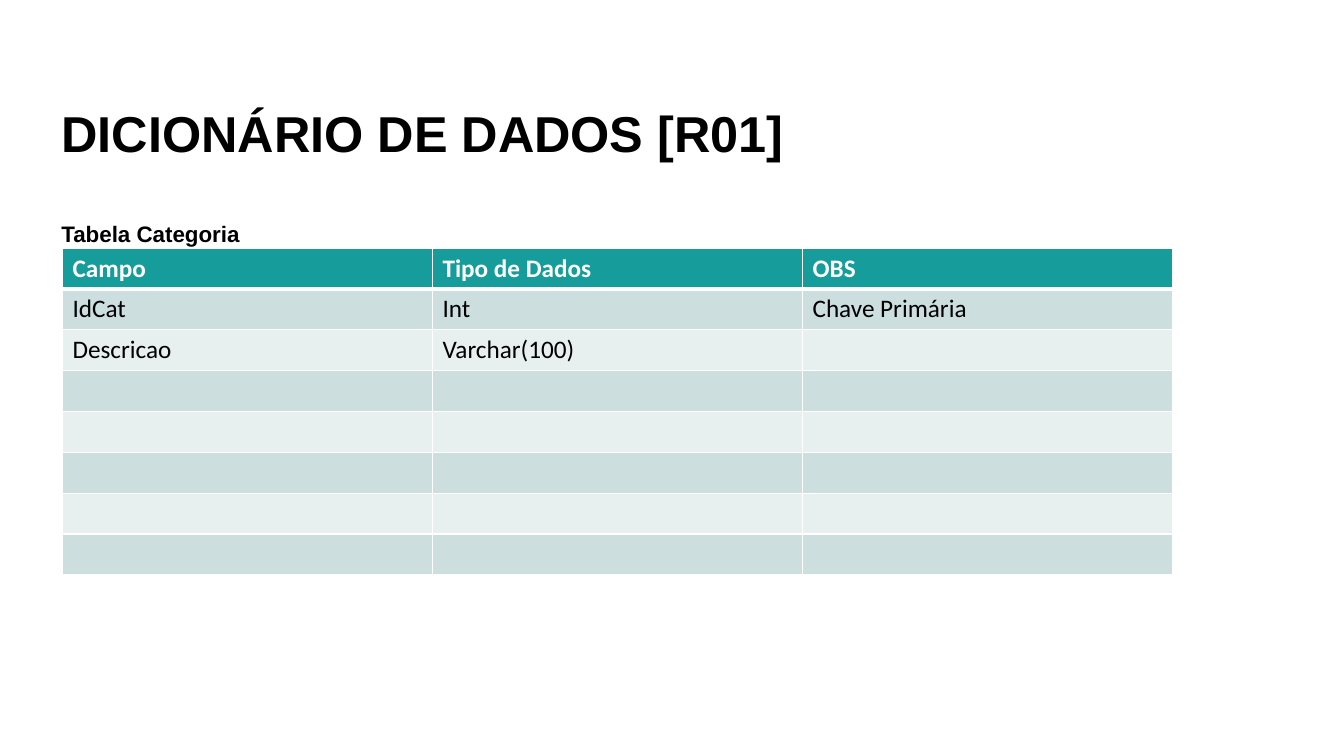
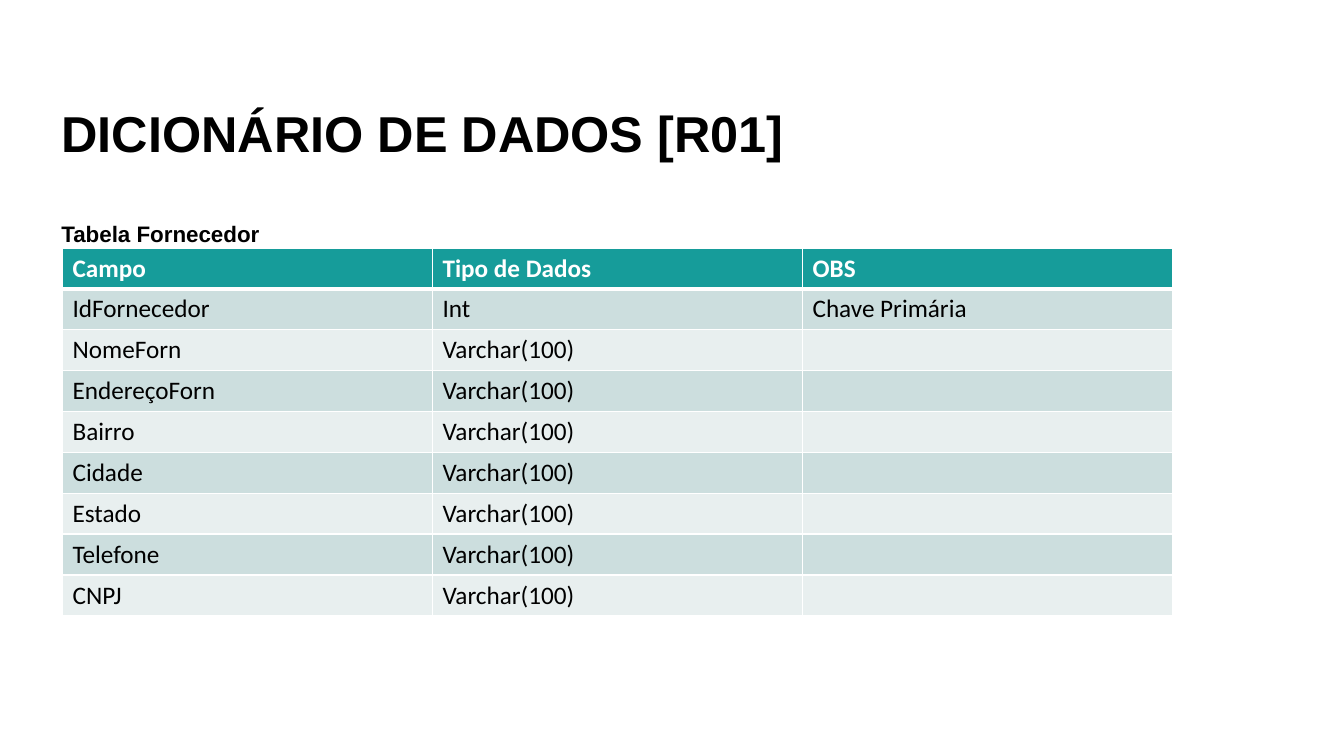
from lxml import etree
from pptx import Presentation
from pptx.dml.color import RGBColor
from pptx.enum import text as t
from pptx.oxml import ns
from pptx.util import Inches, Pt

BLACK = RGBColor(0x00, 0x00, 0x00)
WHITE = RGBColor(0xFF, 0xFF, 0xFF)
TEAL = RGBColor(0x16, 0x9C, 0x9A)
DARK = RGBColor(0xCC, 0xDE, 0xDE)
LIGHT = RGBColor(0xE8, 0xEF, 0xEF)

TITLE = "DICIONÁRIO DE DADOS [R01]"
HEADS = ("Campo", "Tipo de Dados", "OBS")
KEY = "Chave Primária"
CHARS = "Varchar(100)"
ROW = 0.405
WIDTH = 3.67

# Caption, number of body rows, filled rows
TABLES = [
    ("Tabela Categoria", 7,
     [("IdCat", "Int", KEY), ("Descricao", CHARS, "")]),
    ("Tabela Fornecedor", 8,
     [("IdFornecedor", "Int", KEY)]
     + [(name, CHARS, "") for name in
        ("NomeForn", "EndereçoForn", "Bairro", "Cidade", "Estado",
         "Telefone", "CNPJ")]),
]


def head(shape, top, words, size):
    """Place a bold heading that stands on the bottom of its box."""
    shape.left, shape.top = Inches(0.51), Inches(top)
    shape.width, shape.height = Inches(11.5), Inches(1.67)
    frame = shape.text_frame
    frame.text = words
    frame.word_wrap = True
    frame.auto_size = t.MSO_AUTO_SIZE.NONE
    frame.vertical_anchor = t.MSO_ANCHOR.BOTTOM
    para = frame.paragraphs[0]
    para.alignment = t.PP_ALIGN.LEFT
    para.line_spacing = 0.9
    para.space_before = Pt(25)
    font = para.font
    font.name, font.size, font.bold = "Arial", Pt(size), True
    font.color.rgb = BLACK


def edge(cell, side, width):
    """Draw a white line on one side of a cell."""
    line = etree.SubElement(cell._tc.get_or_add_tcPr(), ns.qn("a:ln" + side),
                            w=str(Pt(width)))
    fill = etree.SubElement(line, ns.qn("a:solidFill"))
    etree.SubElement(fill, ns.qn("a:srgbClr"), val=str(WHITE))


deck = Presentation()
deck.slide_width, deck.slide_height = Inches(13.33), Inches(7.5)

for label, count, rows in TABLES:
    slide = deck.slides.add_slide(deck.slide_layouts[5])
    head(slide.shapes.title, 0, TITLE, 36)

    # Table
    blank = [("", "", "")] * (count - len(rows))
    data = [HEADS] + rows + blank
    grid = slide.shapes.add_table(
        len(data), len(HEADS), Inches(0.62), Inches(2.46),
        Inches(WIDTH * len(HEADS)), Inches(ROW * len(data))).table
    for col in grid.columns:
        col.width = Inches(WIDTH)
    for r, row in enumerate(data):
        grid.rows[r].height = Inches(ROW)
        for c, words in enumerate(row):
            cell = grid.cell(r, c)
            # Borders come before the fill in the cell's properties
            for side in "LRTB":
                thick = (r, side) in ((0, "B"), (1, "T"))
                edge(cell, side, 3 if thick else 1)
            cell.fill.solid()
            cell.fill.fore_color.rgb = (
                TEAL if r == 0 else DARK if r % 2 else LIGHT)
            cell.text = words
            font = cell.text_frame.paragraphs[0].font
            font.name, font.size, font.bold = "Calibri", Pt(18), r == 0
            font.color.rgb = BLACK if r else WHITE

    # Caption above the table
    box = slide.shapes.add_textbox(0, 0, 0, 0)
    head(box, 0.83, label, 16)

deck.save("out.pptx")
